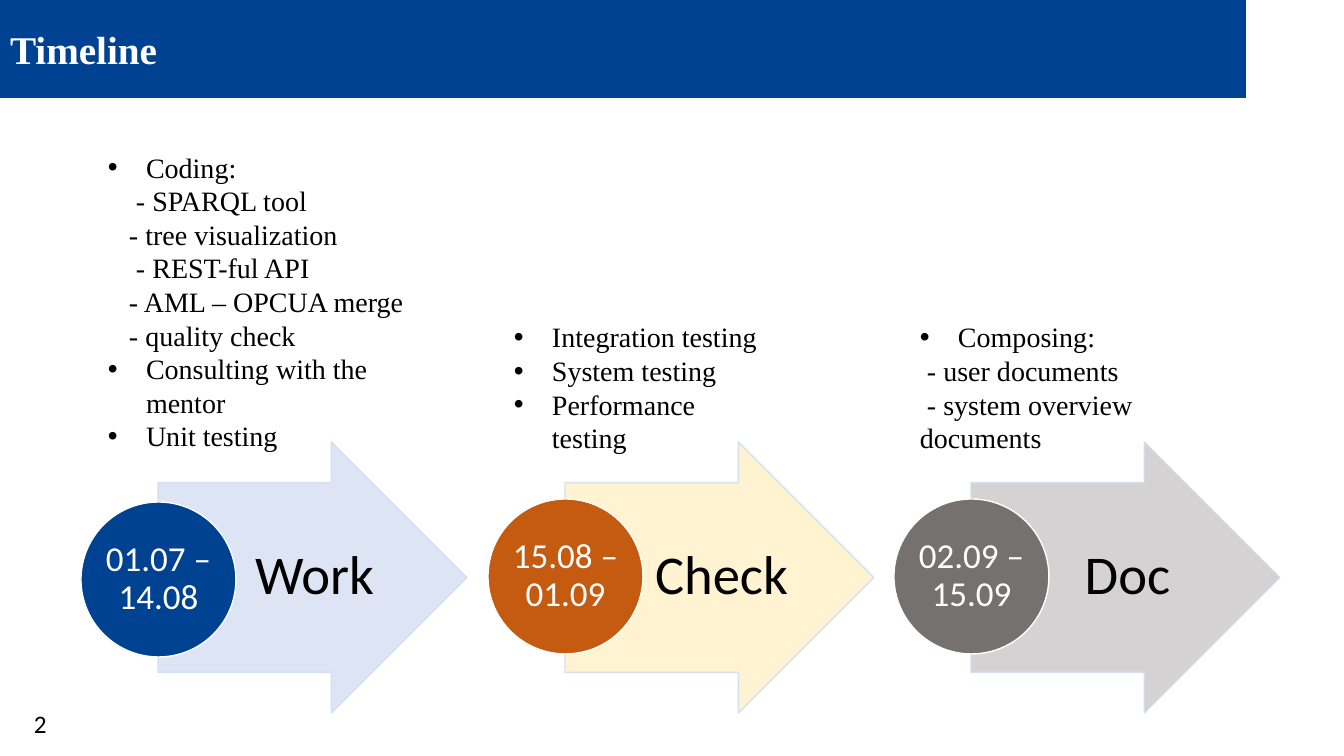
"""Build the project timeline slide."""
from dataclasses import dataclass
from typing import Any

from lxml.etree import SubElement
from pptx import Presentation
from pptx.dml.color import RGBColor
from pptx.enum.shapes import MSO_SHAPE
from pptx.enum.text import MSO_ANCHOR, PP_ALIGN
from pptx.oxml.ns import qn
from pptx.util import Emu, Pt

SCALE = 914400 / 100.8
COLORS = {
    "blue": "004292", "orange": "C55A11", "gray": "767171",
    "pale_blue": "DAE3F3", "cream": "FFF2CC", "pale_gray": "D0CECE",
    "edge": "D2DEEF", "white": "FFFFFF", "black": "000000",
}
SERIF, SANS = "Times New Roman", "Calibri"
BULLET_INDENT = 38
ARROW_TOP, ARROW_SIZE = 442, (309, 271)
CIRCLE_SIZE = 155
LABEL_TOP, LABEL_SIZE = 482, (151, 190)


@dataclass(frozen=True)
class Task:
    text: str
    first_indent: int = 0
    bullet: bool = False


@dataclass(frozen=True)
class Stage:
    label: str
    dates: str
    left: int
    circle_top: int
    circle_color: str
    arrow_color: str
    task_box: tuple[int, int, int, int]
    tasks: tuple[Task, ...]


STAGES = (
    Stage("Work", "01.07 – 14.08", 81, 502, "blue", "pale_blue", (98, 145, 363, 281), (
        Task("Coding:", bullet=True),
        Task("- SPARQL tool", 28),
        Task("- tree visualization", 21),
        Task("- REST-ful API", 28),
        Task("- AML – OPCUA merge", 21),
        Task("- quality check", 21),
        Task("Consulting with the mentor", bullet=True),
        Task("Unit testing", bullet=True),
    )),
    Stage("Check", "15.08 – 01.09", 488, 499, "orange", "cream", (504, 315, 280, 112), (
        Task("Integration testing", bullet=True),
        Task("System testing", bullet=True),
        Task("Performance testing", bullet=True),
    )),
    Stage("Doc", "02.09 – 15.09", 894, 499, "gray", "pale_gray", (910, 315, 352, 112), (
        Task("Composing:", bullet=True),
        Task("- user documents", 7),
        Task("- system overview documents", 7),
    )),
)


def px(value: float) -> Emu:
    return Emu(round(value * SCALE))


def color(name: str) -> RGBColor:
    return RGBColor.from_string(COLORS[name])


def set_opacity(properties: Any, percent: int) -> None:
    for rgb in properties.iter(qn("a:srgbClr")):
        SubElement(rgb, qn("a:alpha"), val=str(percent * 1000))


def add_block(page: Any, kind: MSO_SHAPE, box: tuple[int, int, int, int],
              fill: str, line: str | None = None, opacity: int = 100) -> Any:
    shape = page.shapes.add_shape(kind, *map(px, box))
    shape.shadow.inherit = False
    shape.fill.solid()
    shape.fill.fore_color.rgb = color(fill)
    if line:
        shape.line.color.rgb = color(line)
        shape.line.width = Pt(1)
    else:
        shape.line.fill.background()
    if opacity < 100:
        set_opacity(shape.element.spPr, opacity)
    return shape


def add_text_box(page: Any, box: tuple[int, int, int, int]) -> Any:
    return page.shapes.add_textbox(*map(px, box))


def set_frame(shape: Any, insets: tuple[int, int, int, int] = (10, 5, 10, 5),
              anchor: MSO_ANCHOR = MSO_ANCHOR.TOP) -> Any:
    frame = shape.text_frame
    frame.word_wrap = True
    frame.vertical_anchor = anchor
    (frame.margin_left, frame.margin_top,
     frame.margin_right, frame.margin_bottom) = map(px, insets)
    return frame


def write(para: Any, text: str, *, size: int, font: str = SANS, fill: str = "black",
          bold: bool = False, align: PP_ALIGN = PP_ALIGN.LEFT,
          spacing: float | Pt = 1.0) -> None:
    para.alignment = align
    para.line_spacing = spacing
    span = para.add_run()
    span.text = text
    span.font.name = font
    span.font.size = Pt(size)
    span.font.bold = bold
    span.font.color.rgb = color(fill)


def set_indent(para: Any, task: Task) -> None:
    properties = para._p.get_or_add_pPr()
    margin = BULLET_INDENT if task.bullet else 0
    first = -BULLET_INDENT if task.bullet else task.first_indent
    properties.set("marL", str(px(margin)))
    properties.set("indent", str(px(first)))
    if task.bullet:
        SubElement(properties, qn("a:buFont"), typeface="Arial")
        SubElement(properties, qn("a:buChar"), char="•")


def add_tasks(page: Any, stage: Stage) -> None:
    frame = set_frame(add_text_box(page, stage.task_box))
    for index, task in enumerate(stage.tasks):
        para = frame.add_paragraph() if index else frame.paragraphs[0]
        write(para, task.text, size=20, font=SERIF, spacing=Pt(24))
        set_indent(para, task)


def add_stage(page: Any, stage: Stage) -> None:
    arrow = add_block(page, MSO_SHAPE.RIGHT_ARROW, (stage.left + 77, ARROW_TOP, *ARROW_SIZE),
                      stage.arrow_color, "edge", 90)
    arrow.adjustments[0] = 0.7
    arrow.adjustments[1] = 0.5
    label = add_text_box(page, (stage.left + 155, LABEL_TOP, *LABEL_SIZE))
    write(set_frame(label, (11, 3, 5, 3), MSO_ANCHOR.MIDDLE).paragraphs[0], stage.label,
          size=39, align=PP_ALIGN.CENTER, spacing=0.9)
    circle = add_block(page, MSO_SHAPE.OVAL,
                       (stage.left, stage.circle_top, CIRCLE_SIZE, CIRCLE_SIZE),
                       stage.circle_color, "white")
    write(set_frame(circle, (2, 2, 2, 2), MSO_ANCHOR.MIDDLE).paragraphs[0], stage.dates,
          size=25, fill="white", align=PP_ALIGN.CENTER, spacing=0.9)
    add_tasks(page, stage)


def main() -> None:
    deck = Presentation()
    deck.slide_width, deck.slide_height = px(1344), px(756)
    page = deck.slides.add_slide(deck.slide_layouts[6])
    header = add_block(page, MSO_SHAPE.RECTANGLE, (0, 0, 1246, 98), "blue")
    write(set_frame(header, anchor=MSO_ANCHOR.MIDDLE).paragraphs[0], "Timeline",
          size=28, font=SERIF, fill="white", bold=True)
    number = add_text_box(page, (24, 703, 33, 40))
    write(set_frame(number).paragraphs[0], "2", size=18)
    for stage in STAGES:
        add_stage(page, stage)
    deck.save("out.pptx")


main()
